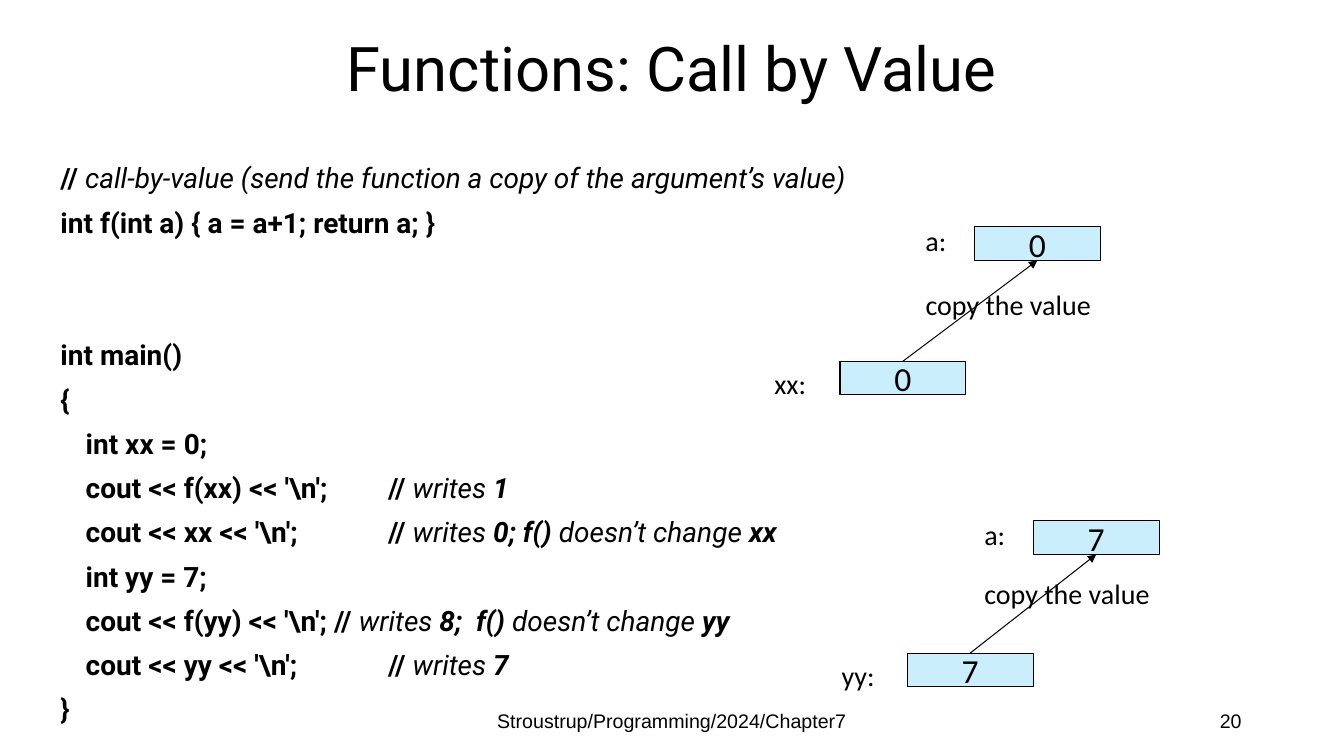
import dataclasses

import lxml.etree
import pptx
import pptx.dml.color
import pptx.enum.shapes
import pptx.enum.text
import pptx.oxml.ns
import pptx.util

Pt = pptx.util.Pt
Align = pptx.enum.text.PP_ALIGN
Anchor = pptx.enum.text.MSO_ANCHOR
qn = pptx.oxml.ns.qn


@dataclasses.dataclass(frozen=True)
class Theme:
    ink: str = "000000"
    cell: str = "CAEEFB"
    head: str = "Roboto"
    label: str = "Calibri"
    foot: str = "Arial"
    title_pt: int = 44
    value_pt: int = 24
    text_pt: int = 20
    foot_pt: int = 14
    line_pt: float = 0.75


THEME = Theme()
PITCH = 31.6  # one code line with its gap
GAP = 10

# Each line is a list of (text, style): b bold, i italic
CODE = [
    [("// ", "b"), ("call-by-value (send the function a copy of the argument’s value)", "i")],
    [("int f(int a) { a = a+1; return a; }", "b")],
    [("int main()", "b")],
    [("{", "b")],
    [("\tint xx = 0;", "b")],
    [("\tcout << f(xx) << ′\\n′;\t// ", "b"), ("writes ", "i"), ("1", "bi")],
    [("\tcout << xx << ′\\n′; \t// ", "b"), ("writes", "i"), (" 0; f() ", "bi"),
     ("doesn’t change", "i"), (" xx", "bi")],
    [("\tint yy = 7;", "b")],
    [("\tcout << f(yy) << ′\\n′; // ", "b"), ("writes", "i"), (" 8;  f() ", "bi"),
     ("doesn’t change ", "i"), ("yy", "bi")],
    [("\tcout << yy << ′\\n′; \t// ", "b"), ("writes", "i"), (" 7", "bi")],
    [("}", "b")],
]


def color(code):
    return pptx.dml.color.RGBColor.from_string(code)


def style(para, face, size, align=Align.LEFT):
    para.alignment = align
    para.font.name = face
    para.font.size = Pt(size)
    para.font.color.rgb = color(THEME.ink)


def place(shape, box):
    shape.left, shape.top, shape.width, shape.height = map(Pt, box)


def add_text(slide, box, text, face, size, align=Align.LEFT, anchor=Anchor.TOP, wrap=True):
    frame = slide.shapes.add_textbox(*map(Pt, box)).text_frame
    frame.word_wrap = wrap
    frame.vertical_anchor = anchor
    frame.text = text
    style(frame.paragraphs[0], face, size, align)


def add_title(slide, box, text):
    title = slide.shapes.title
    place(title, box)
    frame = title.text_frame
    frame.text = text
    frame.auto_size = pptx.enum.text.MSO_AUTO_SIZE.NONE
    frame.vertical_anchor = Anchor.MIDDLE
    para = frame.paragraphs[0]
    para.line_spacing = 0.9
    style(para, THEME.head, THEME.title_pt, Align.CENTER)


def add_code(slide, box, lines):
    body = slide.placeholders[1]
    place(body, box)
    frame = body.text_frame
    frame.auto_size = pptx.enum.text.MSO_AUTO_SIZE.NONE
    frame.vertical_anchor = Anchor.TOP
    for num, line in enumerate(lines):
        para = frame.paragraphs[0] if num == 0 else frame.add_paragraph()
        # Hanging indent without a bullet, tabs one inch apart
        props = para._p.get_or_add_pPr()
        props.set("marL", str(Pt(18)))
        props.set("indent", str(Pt(-18)))
        props.set("defTabSz", str(Pt(72)))
        lxml.etree.SubElement(props, qn("a:buNone"))
        para.line_spacing = 0.9
        # main() stands two lines further down
        main = line[0][0].startswith("int main")
        para.space_before = Pt(GAP + 2 * PITCH if main else GAP)
        style(para, THEME.head, THEME.text_pt)
        for text, look in line:
            run = para.add_run()
            run.text = text
            run.font.bold = "b" in look
            run.font.italic = "i" in look


def add_cell(slide, left, top, wide, high, value):
    cell = slide.shapes.add_shape(
        pptx.enum.shapes.MSO_SHAPE.RECTANGLE, Pt(left), Pt(top), Pt(wide), Pt(high))
    cell.shadow.inherit = False
    cell.fill.solid()
    cell.fill.fore_color.rgb = color(THEME.cell)
    cell.line.color.rgb = color(THEME.ink)
    cell.line.width = Pt(THEME.line_pt)
    frame = cell.text_frame
    frame.word_wrap = False
    frame.vertical_anchor = Anchor.MIDDLE
    frame.text = value
    style(frame.paragraphs[0], THEME.label, THEME.value_pt, Align.CENTER)
    return cell


def add_arrow(slide, start, end):
    arrow = slide.shapes.add_connector(pptx.enum.shapes.MSO_CONNECTOR.STRAIGHT, 0, 0, 0, 0)
    arrow.begin_connect(start, 0)
    arrow.end_connect(end, 2)
    arrow.line.color.rgb = color(THEME.ink)
    arrow.line.width = Pt(THEME.line_pt)
    lxml.etree.SubElement(arrow.line._get_or_add_ln(), qn("a:tailEnd"), type="triangle")
    lxml.etree.SubElement(arrow._element.spPr, qn("a:effectLst"))


def add_call(slide, box, name, value, drop):
    """Variable at lower left, argument at upper right; drop is the note's offset."""
    left, top, wide, high = box
    cell_w, cell_h, name_w = 90, 24, 54
    low = top + high - cell_h
    arg_x = left + wide - cell_w
    note_x = arg_x - 42
    face, size = THEME.label, THEME.text_pt

    var = add_cell(slide, left + name_w, low, cell_w, cell_h, value)
    add_text(slide, (note_x, top - 6, 36, 31), "a:", face, size)
    add_text(slide, (left, low, name_w, 31), name, face, size)
    add_text(slide, (note_x, top + drop, 134, 31.5), "copy the value", face, size, wrap=False)
    arg = add_cell(slide, arg_x, top, cell_w, cell_h, value)
    add_arrow(slide, var, arg)


def add_footer(slide, box, text, number):
    left, top, wide, high = box
    face, size = THEME.foot, THEME.foot_pt
    add_text(slide, (left, top, 324, high), text, face, size, Align.CENTER, Anchor.MIDDLE)
    add_text(slide, (left + wide - 216, top, 216, high), number, face, size,
             Align.RIGHT, Anchor.MIDDLE)


def main():
    deck = pptx.Presentation()
    deck.slide_width, deck.slide_height = Pt(960), Pt(540)
    slide = deck.slides.add_slide(deck.slide_layouts[1])

    # Title and code
    add_title(slide, (174, 6, 612, 90), "Functions: Call by Value")
    add_code(slide, (36, 114, 744, 354), CODE)

    # Footer
    add_footer(slide, (318, 500.4, 576, 28.8), "Stroustrup/Programming/2024/Chapter7", "20")

    # Calls with their copied values
    add_call(slide, (546, 162, 240, 120), "xx:", "0", 40)
    add_call(slide, (594, 372, 234, 118.5), "yy:", "7", 36)

    deck.save("out.pptx")


if __name__ == "__main__":
    main()
